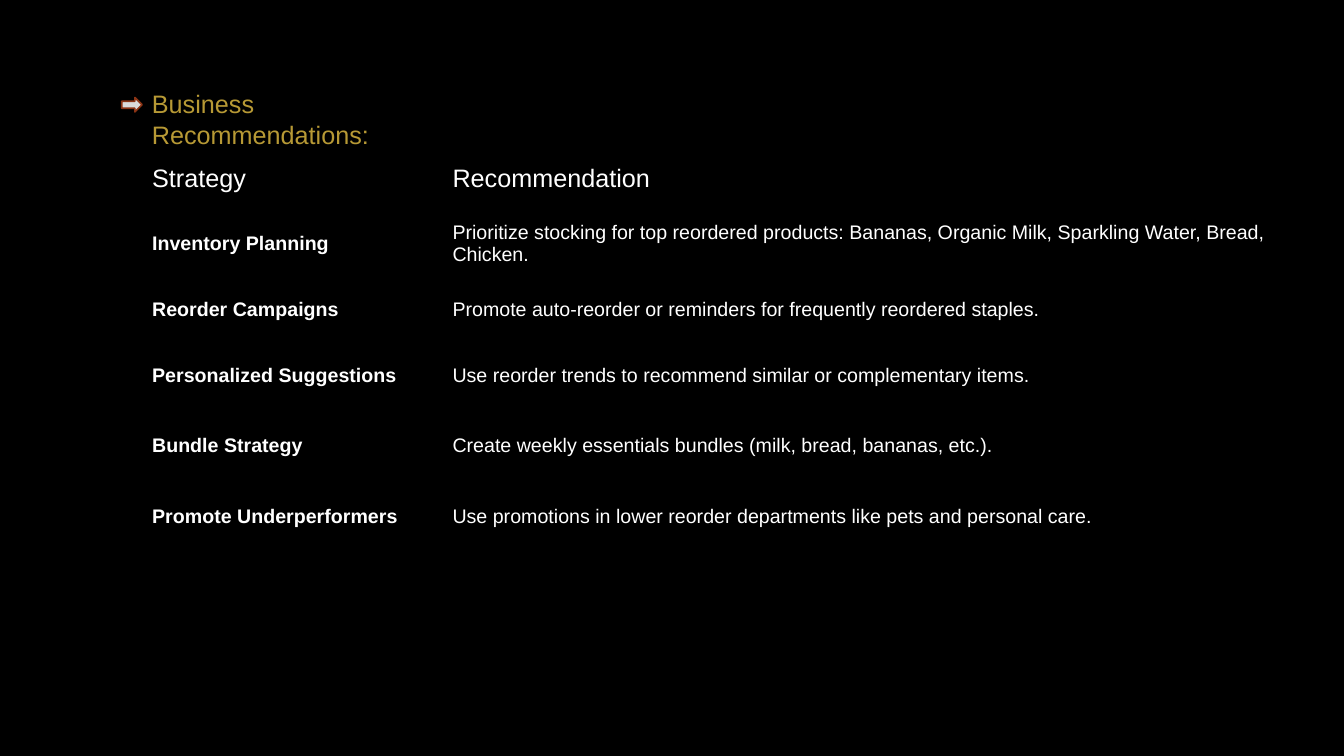
from pptx import Presentation
from pptx.dml.color import RGBColor
from pptx.enum.shapes import MSO_SHAPE
from pptx.enum.text import MSO_ANCHOR, MSO_AUTO_SIZE
from pptx.util import Cm, Pt

ARROW = MSO_SHAPE.RIGHT_ARROW
MIDDLE = MSO_ANCHOR.MIDDLE
GROW = MSO_AUTO_SIZE.SHAPE_TO_FIT_TEXT
PLAIN = "{2D5ABB26-0587-4C30-8999-92F81FD0307C}"
WIDTHS = (7.57, 21.18)
HEIGHTS = (1.47, 1.8, 1.52, 1.78, 1.78, 1.78)
ROWS = (
    ("Strategy", "Recommendation"),
    ("Inventory Planning",
     "Prioritize stocking for top reordered products: Bananas, Organic Milk, "
     "Sparkling Water, Bread, Chicken."),
    ("Reorder Campaigns",
     "Promote auto-reorder or reminders for frequently reordered staples."),
    ("Personalized Suggestions",
     "Use reorder trends to recommend similar or complementary items."),
    ("Bundle Strategy",
     "Create weekly essentials bundles (milk, bread, bananas, etc.)."),
    ("Promote Underperformers",
     "Use promotions in lower reorder departments like pets and personal care."),
)


def color(code):
    return RGBColor.from_string(code)


class Deck:
    """Hold the text style and the current slide, and draw elements on it."""

    def __init__(self, slide, font, ink):
        self.slide, self.font, self.ink = slide, font, ink

    def back(self, code):
        fill = self.slide.background.fill
        fill.solid()
        fill.fore_color.rgb = color(code)

    def add_run(self, frame, text, size, ink=None, bold=False):
        run = frame.paragraphs[0].add_run()
        run.text = text
        run.font.name = self.font
        run.font.size = Pt(size)
        run.font.bold = bold
        run.font.color.rgb = color(ink or self.ink)

    def title(self, text, box, size, ink):
        frame = self.slide.shapes.add_textbox(*map(Cm, box)).text_frame
        frame.word_wrap = True
        frame.auto_size = GROW
        self.add_run(frame, text, size, ink)

    def arrow(self, box, fill, line, width):
        shape = self.slide.shapes.add_shape(ARROW, *map(Cm, box))
        shape.shadow.inherit = False
        shape.fill.solid()
        shape.fill.fore_color.rgb = color(fill)
        shape.line.color.rgb = color(line)
        shape.line.width = Pt(width)

    def table(self, left, top, rows, widths, heights):
        box = map(Cm, (left, top, sum(widths), sum(heights)))
        shape = self.slide.shapes.add_table(len(rows), len(widths), *box)
        shape.element.xpath(".//a:tableStyleId")[0].text = PLAIN
        table = shape.table
        table.first_row = table.horz_banding = False
        for col, width in zip(table.columns, widths):
            col.width = Cm(width)
        for r, (row, height) in enumerate(zip(rows, heights)):
            table.rows[r].height = Cm(height)
            for c, text in enumerate(row):
                cell = table.cell(r, c)
                cell.fill.background()
                cell.vertical_anchor = MIDDLE
                self.add_run(cell.text_frame, text, 14 if r else 18,
                             bold=r > 0 and c == 0)


def main():
    prs = Presentation()
    prs.slide_width, prs.slide_height = Cm(33.87), Cm(19.05)
    deck = Deck(prs.slides.add_slide(prs.slide_layouts[6]), "Arial", "FFFFFF")
    deck.back("000000")
    deck.title("Business Recommendations:", (3.58, 2.11, 8.26, 1.02), 18, "B79935")
    deck.arrow((3.07, 2.46, 0.51, 0.36), "DADADA", "8B3314", 1.25)
    deck.table(3.58, 3.78, ROWS, WIDTHS, HEIGHTS)
    prs.save("out.pptx")


if __name__ == "__main__":
    main()
